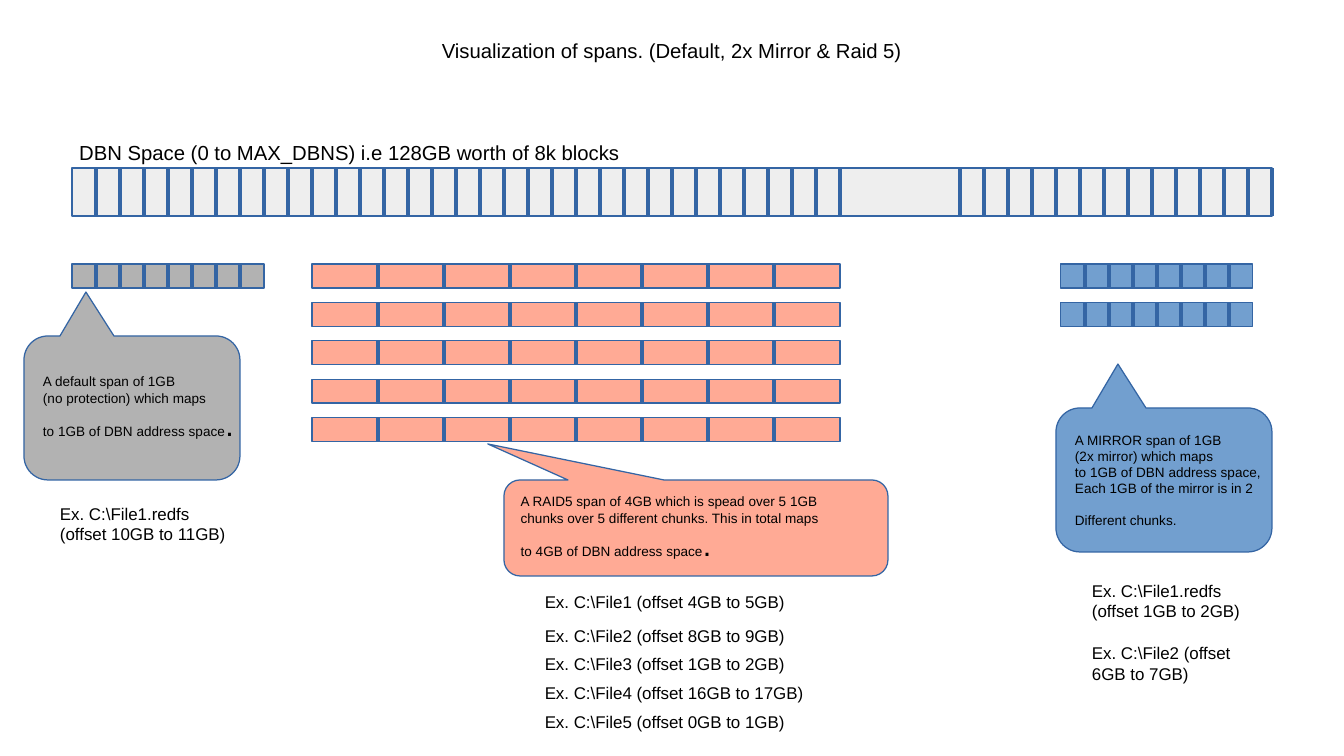
"""Build a slide that shows how default, mirror and RAID 5 spans map to DBN space."""
from pptx import Presentation
from pptx.dml.color import RGBColor
from pptx.enum.shapes import MSO_CONNECTOR as Connector, MSO_SHAPE as Shape
from pptx.enum.text import MSO_ANCHOR as Anchor, PP_ALIGN as Align
from pptx.oxml.ns import qn
from pptx.util import Cm, Pt
from lxml.etree import SubElement

BLACK = RGBColor(0x00, 0x00, 0x00)
EDGE = RGBColor(0x34, 0x65, 0xA4)
LIGHT = RGBColor(0xEE, 0xEE, 0xEE)
GRAY = RGBColor(0xB2, 0xB2, 0xB2)
BLUE = RGBColor(0x72, 0x9F, 0xCF)
SALMON = RGBColor(0xFF, 0xAA, 0x95)

FONT = "Arial"
WIDTH, HEIGHT = 28, 15.75
CELL = 0.5
SPAN_TOP, SPAN_STEP = 5.5, 0.8
SPAN_CELLS = 8

TITLE = "Visualization of spans. (Default, 2x Mirror & Raid 5)"
SPACE_LABEL = "DBN Space (0 to MAX_DBNS) i.e 128GB worth of 8k blocks"
SPACE_TICKS = [*range(1, 33), *range(37, 51)]

# left, cell width, rows, fill
SPANS = [
    (1.5, CELL, 1, GRAY),
    (22.1, CELL, 2, BLUE),
    (6.5, 1.375, 5, SALMON),
]

# frame, pointer, fill, lines, final large mark
CALLOUTS = [
    ((0.5, 7, 4.5, 3), (-0.213, -0.805), GRAY,
     ["A default span of 1GB", "(no protection) which maps",
      "to 1GB of DBN address space"], "."),
    ((10.5, 10, 8, 2), (-0.542, -0.875), SALMON,
     ["A RAID5 span of 4GB which is spead over 5 1GB",
      "chunks over 5 different chunks. This in total maps",
      "to 4GB of DBN address space"], "."),
    ((22, 8.5, 4.5, 3), (-0.213, -0.805), BLUE,
     ["A MIRROR span of 1GB", "(2x mirror) which maps",
      "to 1GB of DBN address space,", "Each 1GB of the mirror is in 2",
      "Different chunks."], ""),
]

# left, top, width, text
EXAMPLES = [
    (1, 10.36, 4, "Ex. C:\\File1.redfs (offset 10GB to 11GB)"),
    (22.5, 11.97, 4, "Ex. C:\\File1.redfs (offset 1GB to 2GB)"),
    (22.5, 13.27, 4, "Ex. C:\\File2 (offset 6GB to 7GB)"),
    (11.1, 12.2, 6.9, "Ex. C:\\File1 (offset 4GB to 5GB)"),
    (11.1, 12.9, 6.9, "Ex. C:\\File2 (offset 8GB to 9GB)"),
    (11.1, 13.5, 6.9, "Ex. C:\\File3 (offset 1GB to 2GB)"),
    (11.1, 14.1, 6.9, "Ex. C:\\File4 (offset 16GB to 17GB)"),
    (11.1, 14.7, 6.9, "Ex. C:\\File5 (offset 0GB to 1GB)"),
]


def add_span(para, text, size):
    span = para.add_run()
    span.text = text
    span.font.name = FONT
    span.font.size = Pt(size)
    span.font.color.rgb = BLACK


def add_box(page, kind, frame, fill):
    box = page.shapes.add_shape(kind, *map(Cm, frame))
    box.shadow.inherit = False
    box.fill.solid()
    box.fill.fore_color.rgb = fill
    box.line.color.rgb = EDGE
    box.line.width = 0
    return box


def add_strip(page, frame, cell, ticks, fill):
    left, top, _, height = frame
    add_box(page, Shape.RECTANGLE, frame, fill)
    for tick in ticks:
        x = Cm(left + tick * cell)
        line = page.shapes.add_connector(
            Connector.STRAIGHT, x, Cm(top), x, Cm(top + height))
        line.line.color.rgb = EDGE
        line.line.width = 0
        SubElement(line._element.spPr, qn("a:effectLst"))


def add_callout(page, frame, pointer, fill, lines, mark):
    box = add_box(page, Shape.ROUNDED_RECTANGULAR_CALLOUT, frame, fill)
    for index, value in enumerate((*pointer, 0.167)):
        box.adjustments[index] = value
    text = box.text_frame
    text.word_wrap = False
    text.vertical_anchor = Anchor.MIDDLE
    for index, words in enumerate(lines):
        para = text.add_paragraph() if index else text.paragraphs[0]
        para.alignment = Align.JUSTIFY
        add_span(para, words, 8)
    if mark:
        add_span(para, mark, 18)
    else:
        para.space_before = Pt(9)


def add_label(page, left, top, width, height, text, size):
    box = page.shapes.add_textbox(*map(Cm, (left, top, width, height)))
    box.text_frame.word_wrap = True
    add_span(box.text_frame.paragraphs[0], text, size)


def add_title(page):
    title = page.shapes.title
    title.left, title.top, title.width, title.height = map(
        Cm, (WIDTH * 0.05, HEIGHT * 0.04, WIDTH * 0.9, 0.86))
    frame = title.text_frame
    frame.margin_left = frame.margin_right = frame.margin_top = frame.margin_bottom = 0
    frame.vertical_anchor = Anchor.MIDDLE
    para = frame.paragraphs[0]
    para.alignment = Align.CENTER
    add_span(para, TITLE, 12)


def main():
    deck = Presentation()
    deck.slide_width, deck.slide_height = Cm(WIDTH), Cm(HEIGHT)
    page = deck.slides.add_slide(deck.slide_layouts[5])
    add_title(page)
    add_strip(page, (1.5, 3.5, 50 * CELL, 1), CELL, SPACE_TICKS, LIGHT)
    for left, cell, rows, fill in SPANS:
        for row in range(rows):
            frame = (left, SPAN_TOP + row * SPAN_STEP, SPAN_CELLS * cell, CELL)
            add_strip(page, frame, cell, range(1, SPAN_CELLS), fill)
    add_label(page, 1.4, 2.8, 12.1, 1.2, SPACE_LABEL, 12)
    for callout in CALLOUTS:
        add_callout(page, *callout)
    for left, top, width, text in EXAMPLES:
        add_label(page, left, top, width, 1.04 if width == 4 else 0.64, text, 10)
    deck.save("out.pptx")


if __name__ == "__main__":
    main()
